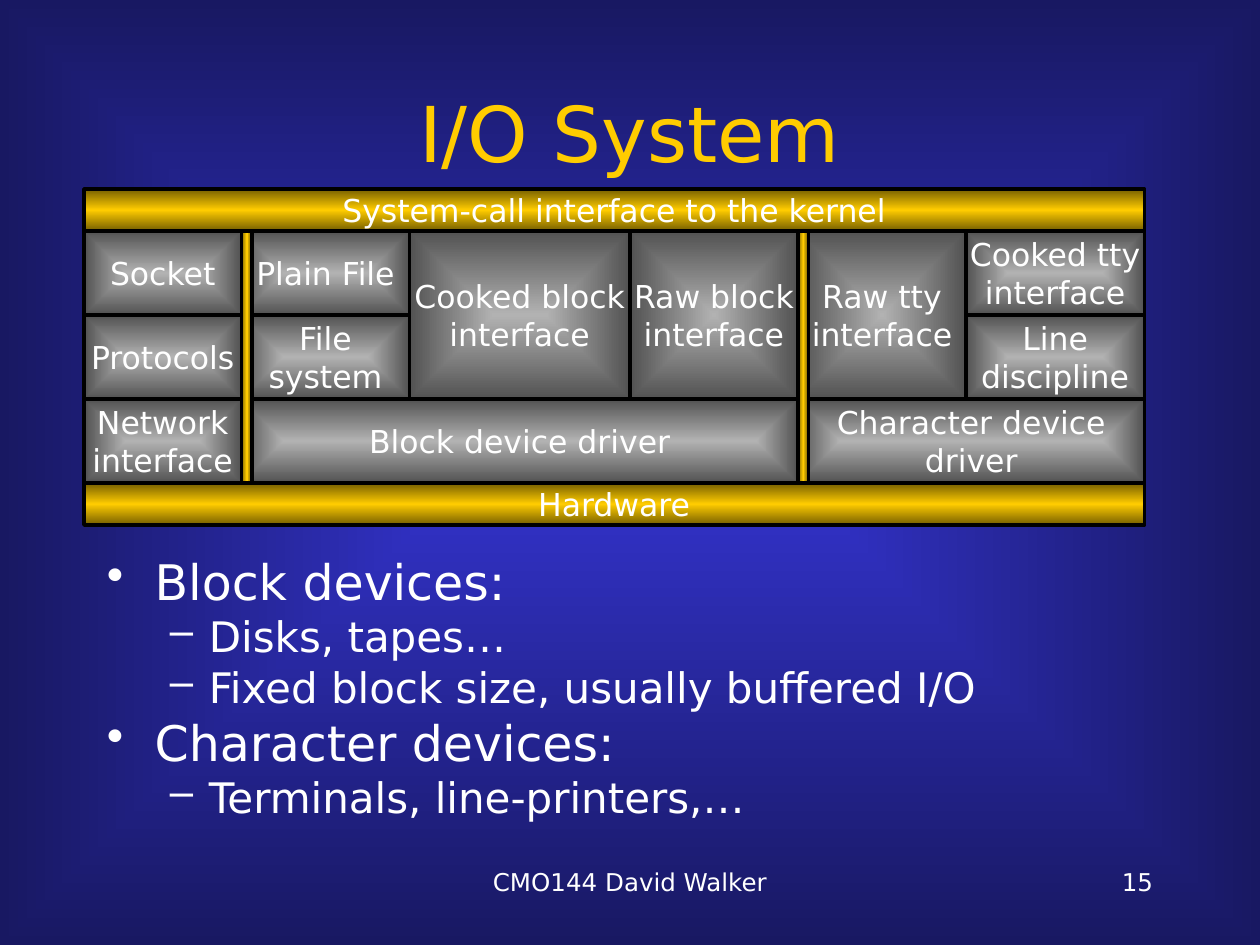
from dataclasses import dataclass

from pptx import Presentation
from pptx.dml.color import RGBColor
from pptx.enum.shapes import MSO_SHAPE
from pptx.enum.text import MSO_ANCHOR, PP_ALIGN
from pptx.oxml import parse_xml
from pptx.oxml.ns import nsdecls, qn
from pptx.util import Inches, Pt


@dataclass(frozen=True)
class Theme:
    font: str = "DejaVu Sans"
    white: str = "FFFFFF"
    gold: str = "FFCC00"
    outline: str = "000000"
    backdrop: tuple = ("3333CC", "181862")
    steel: tuple = ("B2B2B2", "525252")
    brass: tuple = ("755E00", "FFCC00", "755E00")
    title_size: int = 44
    level_sizes: tuple = (28, 24)
    block_size: int = 18
    footer_size: int = 14
    outline_width: int = 2


CENTRE_PATH = '<a:path path="rect"><a:fillToRect l="50000" t="50000" r="50000" b="50000"/></a:path>'
DOWNWARD = '<a:lin ang="5400000" scaled="0"/>'
SIDEWAYS = '<a:lin ang="10800000" scaled="0"/>'
CELLS_PER_INCH = 12

LEVELS = (
    {"bullet": "•", "margin": 0.38, "hang": -0.38, "before": 7},
    {"bullet": "–", "margin": 0.81, "hang": -0.31, "before": 6},
)

BLOCKS = (
    ("Socket", 8, 22, 15, 8),
    ("Plain File", 23, 22, 16, 8),
    ("Cooked block\ninterface", 39, 22, 21, 16),
    ("Raw block\ninterface", 60, 22, 16, 16),
    ("Raw tty\ninterface", 76, 22, 16, 16),
    ("Cooked tty\ninterface", 92, 22, 17, 8),
    ("Line\ndiscipline", 92, 30, 17, 8),
    ("Protocols", 8, 30, 15, 8),
    ("Network\ninterface", 8, 38, 15, 8),
    ("File\nsystem", 23, 30, 16, 8),
    ("Block device driver", 23, 38, 53, 8),
    ("Character device\ndriver", 76, 38, 33, 8),
)

BULLETS = (
    (0, "Block devices:"),
    (1, "Disks, tapes…"),
    (1, "Fixed block size, usually buffered I/O"),
    (0, "Character devices:"),
    (1, "Terminals, line-printers,…"),
)


def apply(target, values):
    for name, value in values.items():
        setattr(target, name, value)


class SlideBuilder:
    def __init__(self, page, theme):
        self.page = page
        self.theme = theme
        self.diagram = None

    def grid(self, *cells):
        return [Inches(cell / CELLS_PER_INCH) for cell in cells]

    def gradient(self, owner, element, colours, direction):
        owner.fill.gradient()
        last = len(colours) - 1
        stops = "".join(
            f'<a:gs pos="{100000 * index // last}"><a:srgbClr val="{colour}"/></a:gs>'
            for index, colour in enumerate(colours)
        )
        old = element.find(".//" + qn("a:gradFill"))
        old.getparent().replace(old, parse_xml(
            f'<a:gradFill {nsdecls("a")} rotWithShape="1"><a:gsLst>{stops}</a:gsLst>{direction}</a:gradFill>'
        ))

    def backdrop(self):
        self.gradient(self.page.background, self.page._element, self.theme.backdrop, CENTRE_PATH)

    def start_diagram(self):
        self.diagram = self.page.shapes.add_group_shape()

    def style(self, para, size, colour, align):
        para.alignment = align
        for span in para.runs:
            apply(span.font, {"name": self.theme.font, "size": Pt(size)})
            span.font.color.rgb = RGBColor.from_string(colour)

    def fill_text(self, frame, text, size, colour, align, anchor, wrap=True):
        frame.text = text
        apply(frame, {"word_wrap": wrap, "vertical_anchor": anchor})
        for para in frame.paragraphs:
            self.style(para, size, colour, align)

    def label(self, text, cells, size, colour=None, align=PP_ALIGN.CENTER, anchor=MSO_ANCHOR.TOP):
        box = self.page.shapes.add_textbox(*self.grid(*cells))
        self.fill_text(box.text_frame, text, size, colour or self.theme.white, align, anchor)
        return box

    def bullets(self, items, cells):
        text = "\n".join(line for _, line in items)
        box = self.label(text, cells, self.theme.level_sizes[0], align=PP_ALIGN.LEFT)
        for para, (level, _) in zip(box.text_frame.paragraphs, items):
            look = LEVELS[level]
            self.style(para, self.theme.level_sizes[level], self.theme.white, PP_ALIGN.LEFT)
            apply(para, {"level": level, "line_spacing": 0.8, "space_before": Pt(look["before"])})
            properties = para._p.get_or_add_pPr()
            properties.set("marL", str(Inches(look["margin"])))
            properties.set("indent", str(Inches(look["hang"])))
            for mark in (
                f'<a:buClr {nsdecls("a")}><a:srgbClr val="{self.theme.white}"/></a:buClr>',
                f'<a:buChar {nsdecls("a")} char="{look["bullet"]}"/>',
            ):
                properties.append(parse_xml(mark))

    def block(self, text, cells, colours, direction):
        box = self.diagram.shapes.add_shape(MSO_SHAPE.RECTANGLE, *self.grid(*cells))
        box.shadow.inherit = False
        self.gradient(box, box._element, colours, direction)
        box.line.color.rgb = RGBColor.from_string(self.theme.outline)
        box.line.width = Pt(self.theme.outline_width)
        if text:
            self.fill_text(box.text_frame, text, self.theme.block_size, self.theme.white,
                           PP_ALIGN.CENTER, MSO_ANCHOR.MIDDLE, wrap=False)


def main():
    theme = Theme()
    deck = Presentation()
    apply(deck, {"slide_width": Inches(10), "slide_height": Inches(7.5)})
    slide = SlideBuilder(deck.slides.add_slide(deck.slide_layouts[6]), theme)

    slide.backdrop()
    slide.label("I/O System", (9, 5, 102, 15), theme.title_size, theme.gold, anchor=MSO_ANCHOR.MIDDLE)
    slide.bullets(BULLETS, (9, 53, 102, 27))

    slide.start_diagram()
    for text, *cells in BLOCKS:
        slide.block(text, cells, theme.steel, CENTRE_PATH)
    for text, row in (("Hardware", 46), ("System-call interface to the kernel", 18)):
        slide.block(text, (8, row, 101, 4), theme.brass, DOWNWARD)
    for column in (23, 76):
        slide.block("", (column, 22, 1, 24), theme.brass, SIDEWAYS)

    slide.label("CMO144 David Walker", (41, 82, 38, 6), theme.footer_size)
    slide.label("15", (86, 82, 25, 6), theme.footer_size, align=PP_ALIGN.RIGHT)
    deck.save("out.pptx")


if __name__ == "__main__":
    main()
